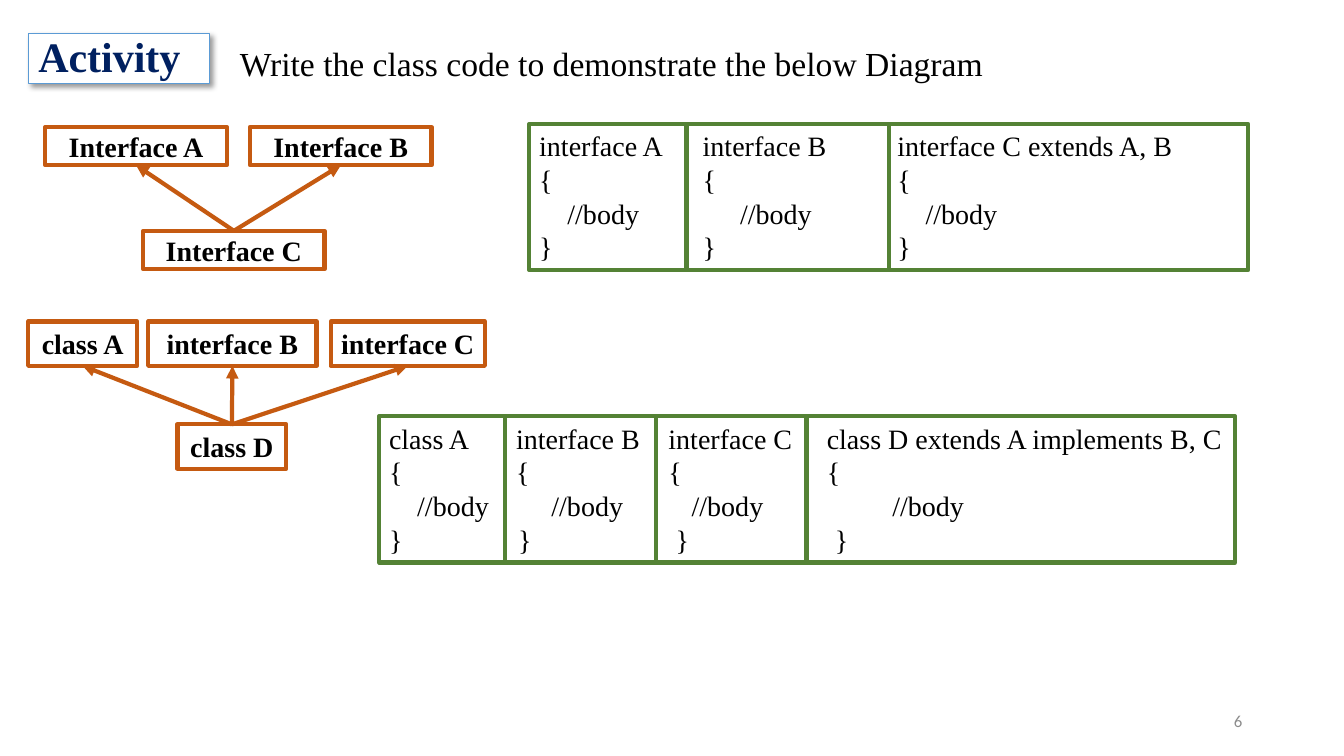
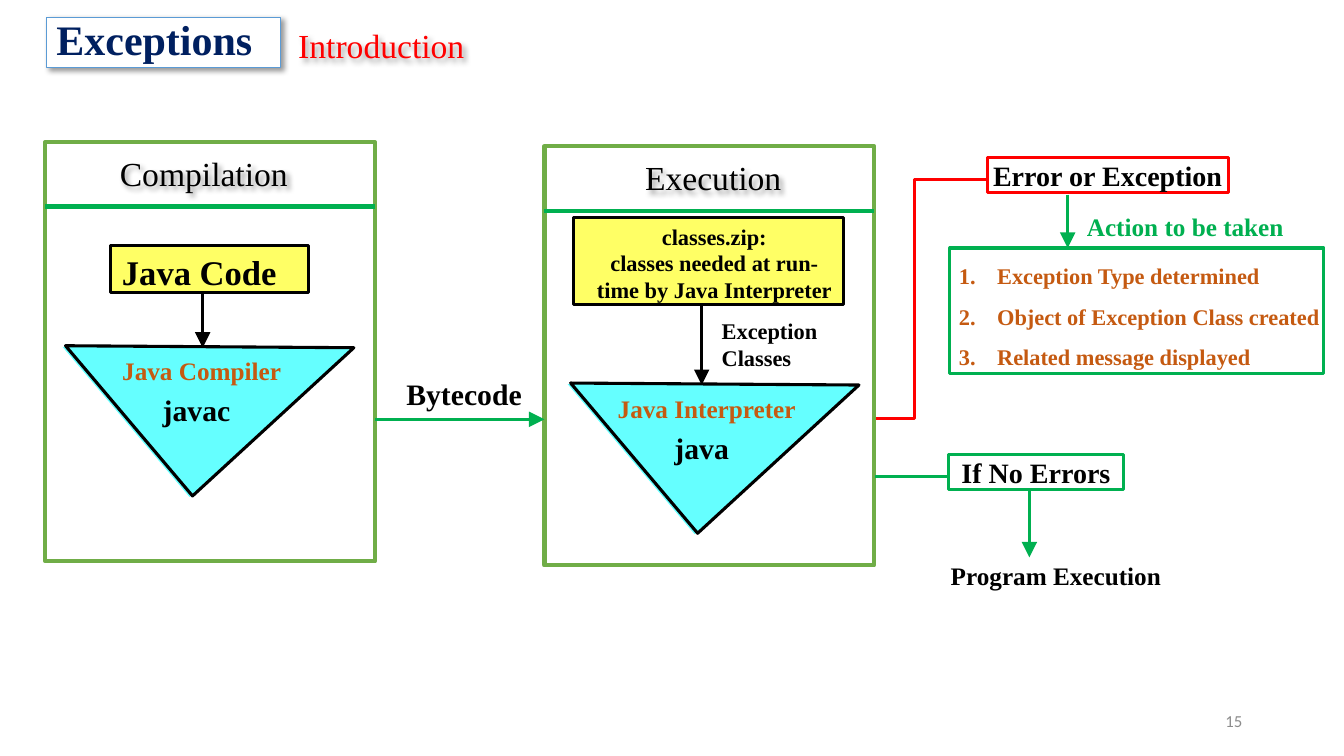
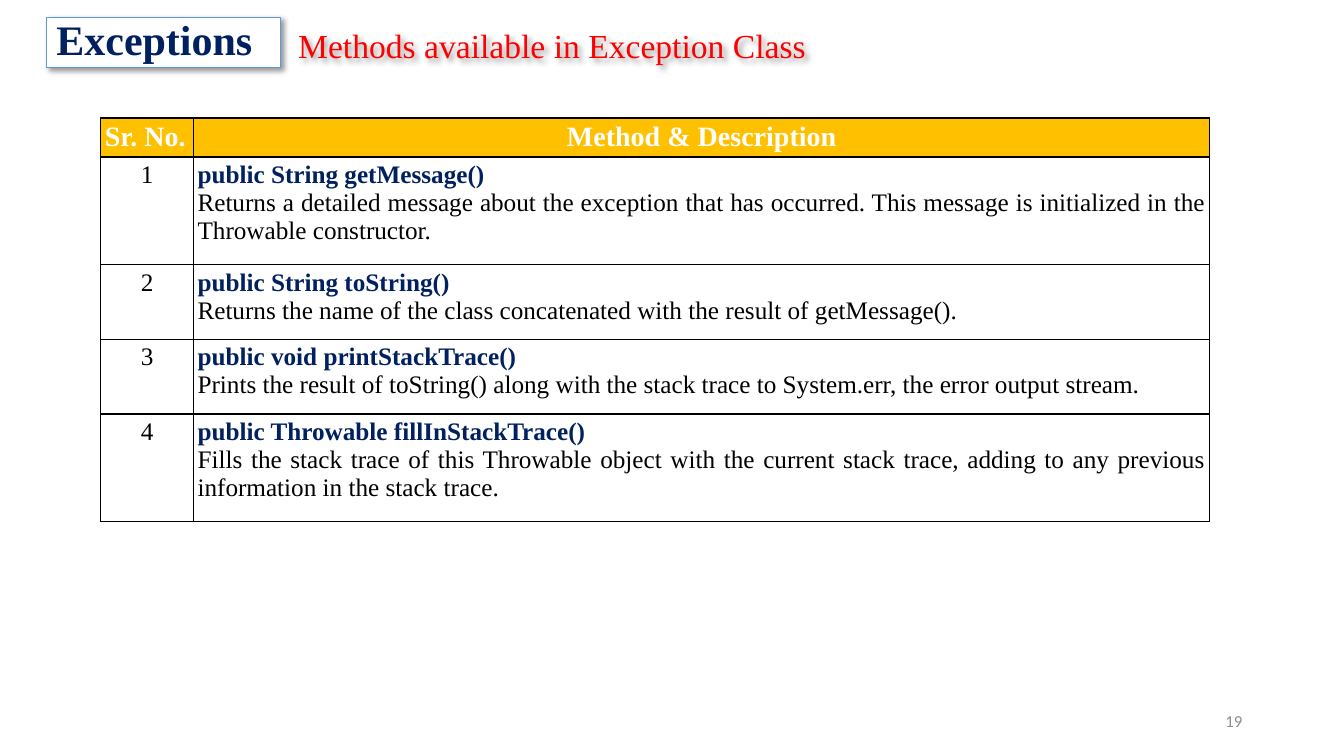
from dataclasses import dataclass

from lxml import etree
from pptx import Presentation
from pptx.dml.color import RGBColor
from pptx.enum.shapes import MSO_CONNECTOR, MSO_SHAPE
from pptx.enum.text import MSO_ANCHOR, MSO_AUTO_SIZE, PP_ALIGN
from pptx.oxml.ns import qn
from pptx.util import Inches, Pt

LEFT, CENTER, RIGHT, JUSTIFY = PP_ALIGN.LEFT, PP_ALIGN.CENTER, PP_ALIGN.RIGHT, PP_ALIGN.JUSTIFY
TOP, MIDDLE = MSO_ANCHOR.TOP, MSO_ANCHOR.MIDDLE
RECTANGLE, STRAIGHT = MSO_SHAPE.RECTANGLE, MSO_CONNECTOR.STRAIGHT

# The slide is a grid of one-inch columns and rows
COLUMNS, ROWS = 13.33, 7.5
TITLE_ONLY = 5
BOX_INSETS = (0.1, 0.05, 0.1, 0.05)
TIGHT_INSETS = (0, 0.01, 0, 0)


@dataclass(frozen=True)
class Theme:
    font: str = "Times New Roman"
    number_font: str = "Calibri"
    black: str = "000000"
    white: str = "FFFFFF"
    navy: str = "002060"
    blue: str = "5B9BD5"
    orange: str = "C55A11"
    dark_green: str = "548235"
    leaf: str = "70AD47"
    green: str = "00B050"
    red: str = "FF0000"
    cyan: str = "65FFFF"
    yellow: str = "FFFF65"
    amber: str = "FFC000"
    gray: str = "8C8C8C"
    title: float = 30
    code_label: float = 24.7
    heading: float = 24
    command: float = 21.2
    label: float = 20
    body: float = 18
    small: float = 16
    number: float = 12
    thick: float = 3
    medium: float = 2.22
    thin: float = 0.75


THEME = Theme()


# Shared helpers
def color(value):
    return RGBColor.from_string(value)


def format_runs(paragraph, size, text_color, bold, font=THEME.font):
    for run in paragraph.runs:
        run.font.name = font
        run.font.size = Pt(size)
        run.font.bold = bold
        run.font.color.rgb = color(text_color)


def write(shape, text, size, text_color=THEME.black, bold=False, align=LEFT,
          anchor=TOP, insets=BOX_INSETS, font=THEME.font):
    frame = shape.text_frame
    frame.text = text
    frame.word_wrap = True
    frame.auto_size = MSO_AUTO_SIZE.NONE
    frame.vertical_anchor = anchor
    (frame.margin_left, frame.margin_top,
     frame.margin_right, frame.margin_bottom) = map(Inches, insets)
    for paragraph in frame.paragraphs:
        paragraph.alignment = align
        format_runs(paragraph, size, text_color, bold, font)
    return frame


def style(shape, fill=None, line=None, weight=THEME.thick):
    shape.shadow.inherit = False
    if fill:
        shape.fill.solid()
        shape.fill.fore_color.rgb = color(fill)
    else:
        shape.fill.background()
    if line:
        shape.line.color.rgb = color(line)
        shape.line.width = Pt(weight)
    else:
        shape.line.fill.background()


def add_box(slide, box, fill=None, line=None, weight=THEME.thick):
    shape = slide.shapes.add_shape(RECTANGLE, *map(Inches, box))
    style(shape, fill, line, weight)
    return shape


def add_label(slide, box, text, size, text_color=THEME.black, bold=False, **options):
    label = slide.shapes.add_textbox(*map(Inches, box))
    write(label, text, size, text_color, bold, **options)
    return label


def add_shadow(shape):
    shape.shadow.inherit = False
    effects = shape._element.spPr.find(qn("a:effectLst"))
    shadow = etree.SubElement(effects, qn("a:outerShdw"), blurRad=str(Pt(4)),
                              dist=str(Pt(3)), dir="2700000", algn="tl", rotWithShape="0")
    shade = etree.SubElement(shadow, qn("a:srgbClr"), val=THEME.black)
    etree.SubElement(shade, qn("a:alpha"), val="40000")


def add_line(slide, start, end, line, weight, head=None):
    connector = slide.shapes.add_connector(STRAIGHT, *map(Inches, (*start, *end)))
    connector.line.color.rgb = color(line)
    connector.line.width = Pt(weight)
    properties = connector._element.spPr
    if head:
        etree.SubElement(connector.line._get_or_add_ln(), qn("a:tailEnd"),
                         type="triangle", w=head, len=head)
    etree.SubElement(properties, qn("a:effectLst"))
    return connector


def add_outline(slide, points, fill=None, line=None, closed=True):
    start, *others = [(Inches(x), Inches(y)) for x, y in points]
    builder = slide.shapes.build_freeform(*start, scale=1.0)
    builder.add_line_segments(others, close=closed)
    style(builder.convert_to_shape(), fill, line, THEME.medium)


def new_slide(presentation, title, title_box, number):
    slide = presentation.slides.add_slide(presentation.slide_layouts[TITLE_ONLY])
    shape = slide.shapes.title
    shape.left, shape.top, shape.width, shape.height = map(Inches, title_box)
    style(shape, THEME.white, THEME.blue, THEME.thin)
    add_shadow(shape)
    frame = write(shape, title, THEME.title, THEME.navy, True, anchor=MIDDLE)
    frame.paragraphs[0].line_spacing = 0.9
    add_label(slide, (9.42, 6.95, 3, 0.4), str(number), THEME.number, THEME.gray,
              align=RIGHT, anchor=MIDDLE, font=THEME.number_font)
    return slide


def exceptions_slide(presentation, topic, number):
    slide = new_slide(presentation, "Exceptions", (0.46, 0.17, 2.32, 0.5), number)
    add_shadow(add_label(slide, (2.86, 0.2, 6, 0.5), topic, THEME.heading, THEME.red))
    return slide


# Activity slide
def inheritance_tree(slide, left, top, height, drop, parents, child):
    """Parents and child are (offset, width, name); the child sits a drop lower."""
    def node(offset, width, name, row):
        shape = add_box(slide, (left + offset, row, width, height), THEME.white, THEME.orange)
        write(shape, name, THEME.label, bold=True, align=CENTER, anchor=MIDDLE,
              insets=(0, 0.05, 0, 0.05))
        return shape

    child_node = node(*child, top + drop)
    for parent in parents:
        parent_node = node(*parent, top)
        arrow = add_line(slide, (0, 0), (0, 0), THEME.orange, THEME.thick, "med")
        arrow.begin_connect(child_node, 0)
        arrow.end_connect(parent_node, 2)


def code_panel(slide, left, top, height, cells):
    """Cells are (width, inset, body indent, closing indent, declaration)."""
    for width, inset, body_indent, closing_indent, declaration in cells:
        cell = add_box(slide, (left, top, width, height), line=THEME.dark_green)
        frame = write(cell, "\n".join((declaration, "{", "//body", "}")), THEME.label,
                      insets=(inset, 0.05, 0, 0.05))
        for paragraph, indent in zip(frame.paragraphs, (0, 0, body_indent, closing_indent)):
            paragraph._p.get_or_add_pPr().set("marL", str(Inches(indent)))
        left += width


def activity(presentation):
    slide = new_slide(presentation, "Activity", (0.28, 0.33, 1.8, 0.5), 6)
    add_label(slide, (2.28, 0.38, 8.33, 0.5),
              "Write the class code to demonstrate the below Diagram", THEME.heading)
    inheritance_tree(slide, 0.45, 1.26, 0.38, 1.03,
                     [(0, 1.8, "Interface A"), (2.03, 1.8, "Interface B")],
                     (0.97, 1.8, "Interface C"))
    inheritance_tree(slide, 0.28, 3.19, 0.44, 1.02,
                     [(0, 1.08, "class A"), (1.19, 1.67, "interface B"),
                      (3, 1.53, "interface C")],
                     (1.48, 1.08, "class D"))
    code_panel(slide, 5.25, 1.23, 1.45, [
        (1.56, 0.1, 0.28, 0, "interface A"),
        (2.01, 0.16, 0.37, 0, "interface B"),
        (3.56, 0.08, 0.28, 0, "interface C extends A, B")])
    code_panel(slide, 3.76, 4.13, 1.45, [
        (1.25, 0.1, 0.28, 0, "class A"),
        (1.5, 0.11, 0.35, 0.02, "interface B"),
        (1.49, 0.12, 0.23, 0.07, "interface C"),
        (4.25, 0.2, 0.65, 0.08, "class D extends A implements B, C")])


# Exceptions introduction slide
def tool_triangle(slide, left, top, tool, command):
    corners = [(0, 0), (2.86, 0.02), (1.26, 1.49)]
    for shift, fill, line in ((0.03, THEME.cyan, None), (0, None, THEME.black)):
        add_outline(slide, [(left + x - shift, top + y + shift / 3) for x, y in corners],
                    fill, line)
    add_label(slide, (left - 0.08, top + 0.05, 2.86, 0.4), tool, THEME.body,
              THEME.orange, True, align=CENTER)
    add_label(slide, (left - 0.13, top + 0.45, 2.86, 0.37), command, THEME.command,
              bold=True, align=CENTER, insets=TIGHT_INSETS)


def stage(slide, left, top, name, name_offset, source, source_box, source_size,
          source_align, triangle_offset, tool, command):
    width, height, divider, arrow_offset = 3.27, 4.16, 0.64, 1.56
    add_box(slide, (left, top, width, height), line=THEME.leaf)
    add_line(slide, (left, top + divider), (left + width, top + divider),
             THEME.green, THEME.thick)
    add_shadow(add_label(slide, (left + name_offset, top + 0.06, 2, 0.5), name, THEME.heading))
    x, y, box_width, box_height = source_box
    box = add_box(slide, (left + x, top + y, box_width, box_height),
                  THEME.yellow, THEME.black, THEME.medium)
    write(box, source, source_size, bold=True, align=source_align, insets=(0.11, 0.05, 0, 0))
    triangle_x, triangle_y = triangle_offset
    tool_triangle(slide, left + triangle_x, top + triangle_y, tool, command)
    add_line(slide, (left + arrow_offset, top + y + box_height),
             (left + arrow_offset, top + triangle_y + 0.02), THEME.black, THEME.medium, "lg")


def outcome_box(slide, box, text, line):
    shape = add_box(slide, box, THEME.white, line, THEME.medium)
    write(shape, text, THEME.label, bold=True, align=CENTER, insets=TIGHT_INSETS)


def error_branch(slide, left, top):
    add_outline(slide, [(left, top + 2.59), (left + 0.38, top + 2.59),
                        (left + 0.38, top + 0.22), (left + 1.1, top + 0.22)],
                line=THEME.red, closed=False)
    outcome_box(slide, (left + 1.1, top, 2.39, 0.35), "Error or Exception", THEME.red)
    add_line(slide, (left + 1.9, top + 0.37), (left + 1.9, top + 0.9),
             THEME.green, THEME.medium, "lg")
    add_label(slide, (left + 2.09, top + 0.53, 2.11, 0.32), "Action to be taken",
              THEME.body, THEME.green, True, insets=TIGHT_INSETS)
    # Numbered actions
    actions = add_box(slide, (left + 0.73, top + 0.9, 3.71, 1.25),
                      line=THEME.green, weight=THEME.medium)
    frame = write(actions, "Exception Type determined\nObject of Exception Class created\n"
                  "Related message displayed", THEME.small, THEME.orange, True,
                  insets=TIGHT_INSETS)
    for paragraph in frame.paragraphs:
        properties = paragraph._p.get_or_add_pPr()
        properties.set("marL", str(Inches(0.47)))
        properties.set("indent", str(Inches(-0.38)))
        etree.SubElement(properties, qn("a:buAutoNum"), type="arabicPeriod")
        paragraph.line_spacing = 1.5


def success_branch(slide, left, top):
    add_line(slide, (left, top + 0.22), (left + 0.73, top + 0.22), THEME.green, THEME.medium)
    outcome_box(slide, (left + 0.73, top, 1.73, 0.35), "If No Errors", THEME.green)
    add_line(slide, (left + 1.53, top + 0.35), (left + 1.53, top + 1.02),
             THEME.green, THEME.medium, "lg")
    add_label(slide, (left + 0.75, top + 1.04, 2.37, 0.32), "Program Execution",
              THEME.body, bold=True, insets=TIGHT_INSETS)


def introduction(presentation):
    slide = exceptions_slide(presentation, "Introduction", 15)
    stage(slide, 0.45, 1.41, "Compilation", 0.64, "Java Code", (0.65, 1.03, 1.96, 0.46),
          THEME.code_label, LEFT, (0.2, 2.02), "Java Compiler", "javac")
    stage(slide, 5.4, 1.45, "Execution", 0.9,
          "classes.zip:\nclasses needed at run-\vtime by Java Interpreter",
          (0.29, 0.71, 2.68, 0.86), THEME.small, CENTER, (0.26, 2.35),
          "Java Interpreter", "java")
    add_label(slide, (7.06, 3.1, 1.2, 0.64), "Exception Classes", THEME.small, bold=True)
    add_line(slide, (3.72, 4.16), (5.4, 4.16), THEME.green, THEME.medium, "lg")
    add_label(slide, (4.03, 3.72, 1.29, 0.37), "Bytecode", THEME.command, bold=True,
              insets=TIGHT_INSETS)
    error_branch(slide, 8.69, 1.56)
    success_branch(slide, 8.68, 4.51)


# Exception methods slide
def format_cell(cell, text, fill, align, formats):
    """Formats give size, colour and weight, one for each paragraph."""
    cell.text = text
    cell.margin_left = cell.margin_right = cell.margin_top = cell.margin_bottom = Inches(0.04)
    for paragraph, (size, text_color, bold) in zip(cell.text_frame.paragraphs, formats):
        paragraph.alignment = align
        format_runs(paragraph, size, text_color, bold)
    properties = cell._tc.get_or_add_tcPr()
    for side in ("a:lnL", "a:lnR", "a:lnT", "a:lnB"):
        border = etree.SubElement(properties, qn(side), w=str(Pt(1)))
        border_fill = etree.SubElement(border, qn("a:solidFill"))
        etree.SubElement(border_fill, qn("a:srgbClr"), val=THEME.black)
    cell.fill.solid()
    cell.fill.fore_color.rgb = color(fill)


def method_table(slide, box, widths, heights, methods):
    table = slide.shapes.add_table(len(heights), len(widths), *map(Inches, box)).table
    for column, width in zip(table.columns, widths):
        column.width = Inches(width)
    for row, height in zip(table.rows, heights):
        row.height = Inches(height)
    header = [(THEME.label, THEME.white, True)]
    plain = (THEME.body, THEME.black, False)
    signature = (THEME.body, THEME.navy, True)
    format_cell(table.cell(0, 0), "Sr. No.", THEME.amber, LEFT, header)
    format_cell(table.cell(0, 1), "Method & Description", THEME.amber, CENTER, header)
    for index, method in enumerate(methods, 1):
        format_cell(table.cell(index, 0), str(index), THEME.white, CENTER, [plain])
        format_cell(table.cell(index, 1), "\n".join(method), THEME.white, JUSTIFY,
                    [signature, plain])


def methods_overview(presentation):
    slide = exceptions_slide(presentation, "Methods available in Exception Class", 19)
    method_table(slide, (1, 1.17, 11, 4), (0.92, 10.08), (0.38, 1.07, 0.74, 0.74, 1.07), [
        ("public String getMessage()",
         "Returns a detailed message about the exception that has occurred. "
         "This message is initialized in the Throwable constructor."),
        ("public String toString()",
         "Returns the name of the class concatenated with the result of getMessage()."),
        ("public void printStackTrace()",
         "Prints the result of toString() along with the stack trace to System.err, "
         "the error output stream."),
        ("public Throwable fillInStackTrace()",
         "Fills the stack trace of this Throwable object with the current stack trace, "
         "adding to any previous information in the stack trace.")])


def main():
    presentation = Presentation()
    presentation.slide_width, presentation.slide_height = Inches(COLUMNS), Inches(ROWS)
    for build in (activity, introduction, methods_overview):
        build(presentation)
    presentation.save("out.pptx")


if __name__ == "__main__":
    main()
